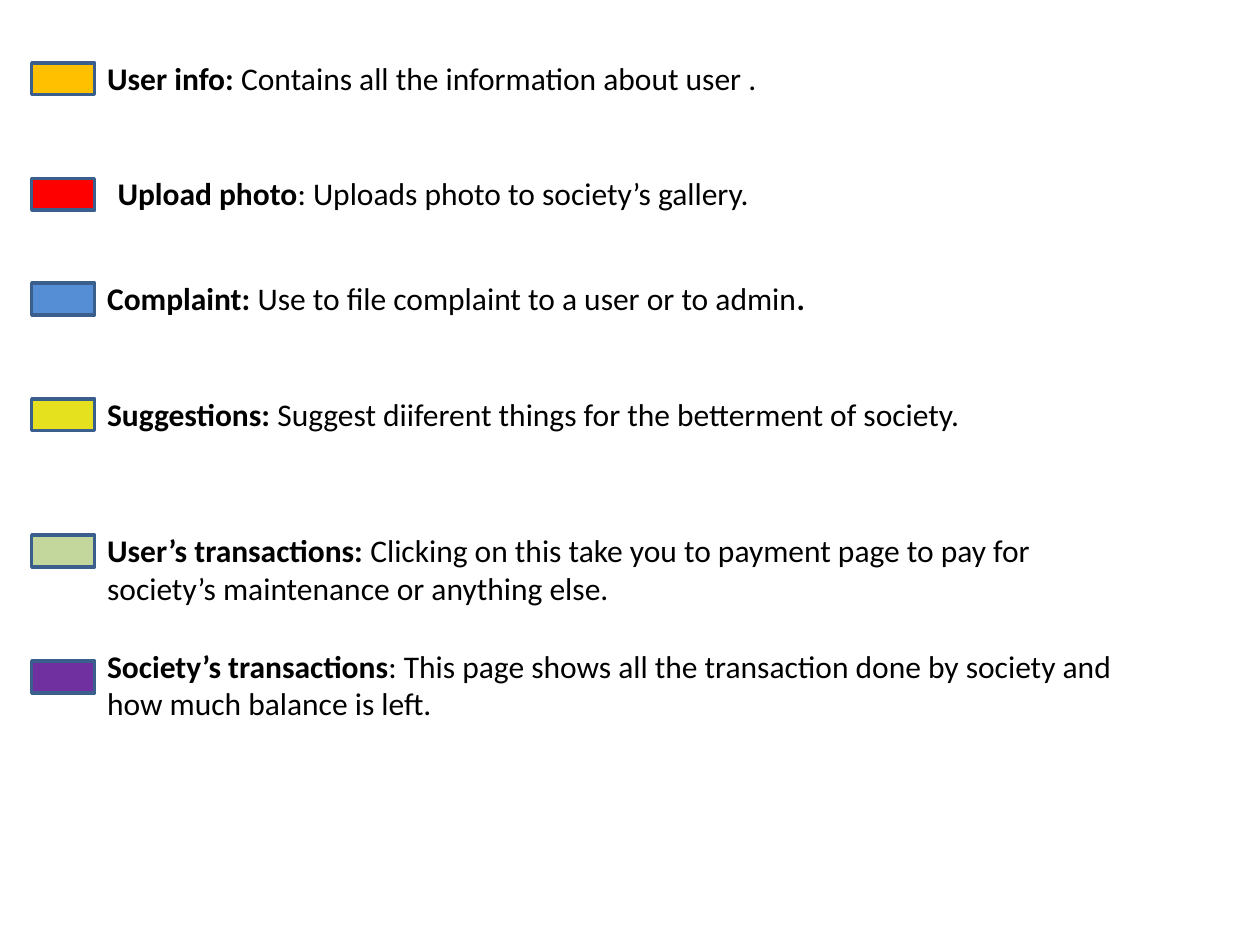
from pptx import Presentation
from pptx.dml.color import RGBColor
from pptx.enum.shapes import MSO_SHAPE
from pptx.enum.text import MSO_AUTO_SIZE
from pptx.util import Cm, Pt

LEFT, WIDTH = 0.64, 22.22
DROP = 0.21  # usual step from the top of a text box down to its swatch

# top, height, text indent, swatch drop, fill, runs as (text, bold)
ROWS = [
    (1.06, 1.03, 1.27, DROP, "FFC000",
     [("User info: ", True), ("Contains all the information about user .", False)]),
    (3.39, 1.03, 1.48, DROP, "FF0000",
     [("Upload photo", True), (": Uploads photo to society’s gallery.", False)]),
    (5.5, 1.03, 1.27, DROP, "558ED5",
     [("Complaint: ", True), ("Use to file complaint to a user or to admin", False),
      (".", True)]),
    (7.83, 1.03, 1.27, DROP, "E6E11F",
     [("Suggestions: ", True),
      ("Suggest diiferent things for the betterment of society.", False)]),
    (10.58, 1.8, 1.27, DROP, "C3D69B",
     [("User’s transactions: ", True),
      ("Clicking on this take you to payment page to pay for society’s "
       "maintenance or anything else.", False)]),
    (12.91, 1.8, 1.27, 2 * DROP, "7030A0",
     [("Society’s transactions", True),
      (": This page shows all the transaction done by society and how much "
       "balance is left.", False)]),
]


def paint(color, code):
    color.rgb = RGBColor.from_string(code)


def add_swatch(slide, left, top, fill):
    box = slide.shapes.add_shape(
        MSO_SHAPE.RECTANGLE, Cm(left), Cm(top), Cm(1.27), Cm(0.64))
    box.shadow.inherit = False
    box.fill.solid()
    paint(box.fill.fore_color, fill)
    paint(box.line.color, "3A5F8C")
    box.line.width = Pt(2)


def add_label(slide, left, top, width, height, runs):
    box = slide.shapes.add_textbox(Cm(left), Cm(top), Cm(width), Cm(height))
    frame = box.text_frame
    frame.word_wrap = True
    frame.auto_size = MSO_AUTO_SIZE.SHAPE_TO_FIT_TEXT
    for text, bold in runs:
        run = frame.paragraphs[0].add_run()
        run.text = text
        run.font.name = "Calibri"
        run.font.size = Pt(18)
        run.font.bold = bold
        paint(run.font.color, "000000")


def add_row(slide, left, top, height, indent, drop, fill, runs):
    add_swatch(slide, left, top + drop, fill)
    add_label(slide, left + indent, top, WIDTH - 1.27, height, runs)


def main():
    deck = Presentation()
    deck.slide_width, deck.slide_height = Cm(25.4), Cm(19.05)
    slide = deck.slides.add_slide(deck.slide_layouts[6])
    for row in ROWS:
        add_row(slide, LEFT, *row)
    deck.save("out.pptx")


if __name__ == "__main__":
    main()
